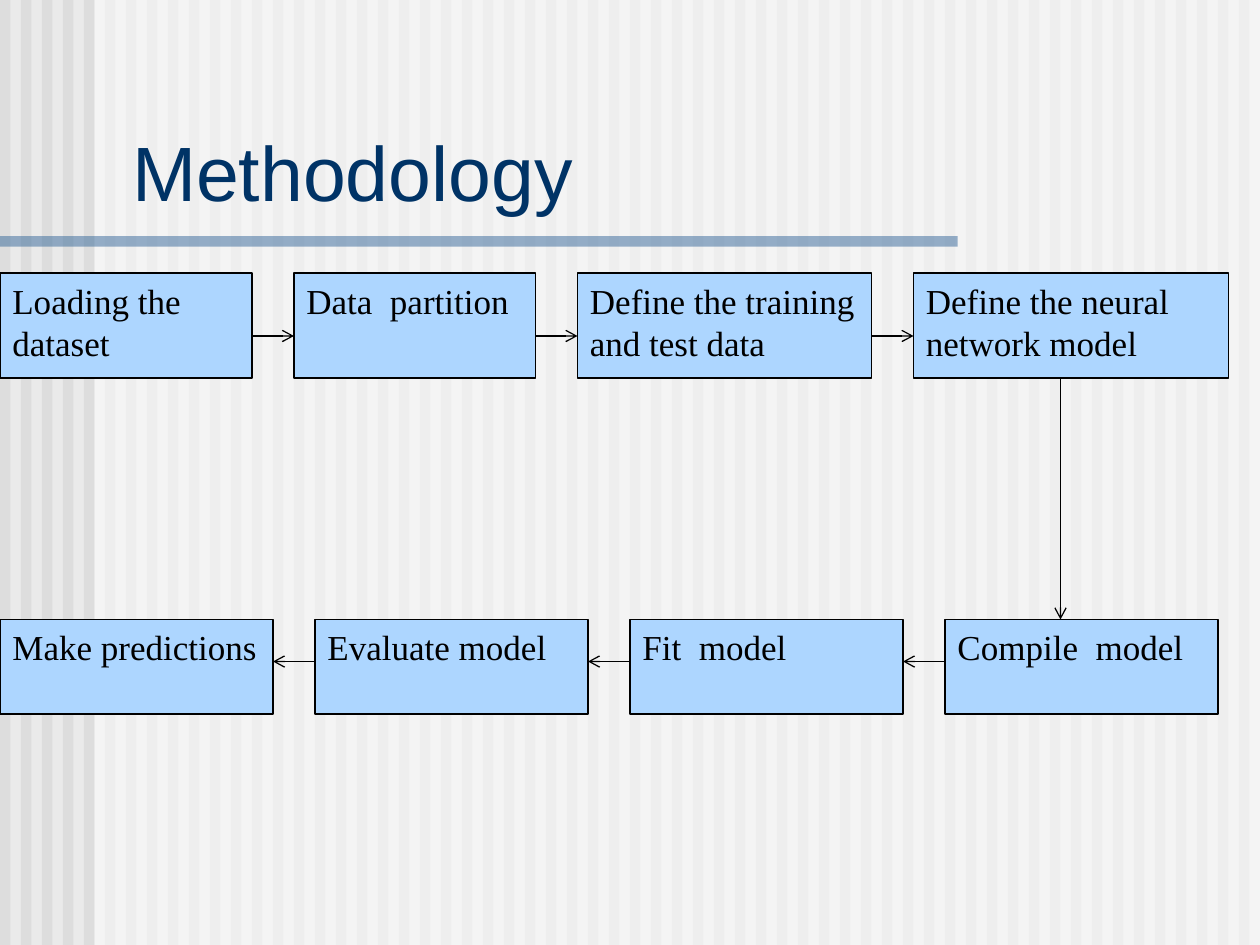
from dataclasses import dataclass

from lxml import etree
from pptx import Presentation
from pptx.dml.color import RGBColor
from pptx.enum.shapes import MSO_CONNECTOR, MSO_SHAPE
from pptx.enum.text import MSO_ANCHOR, PP_ALIGN
from pptx.oxml.ns import qn
from pptx.util import Inches, Pt

RECT = MSO_SHAPE.RECTANGLE
STRAIGHT = MSO_CONNECTOR.STRAIGHT
LEFT = PP_ALIGN.LEFT
TOP, BOTTOM = MSO_ANCHOR.TOP, MSO_ANCHOR.BOTTOM

COLS, ROWS = 120, 90
UNIT = Inches(10) / COLS


@dataclass
class Area:
    col: float
    row: float
    cols: float
    rows: float

    def emu(self) -> list[int]:
        return [grid(n) for n in (self.col, self.row, self.cols, self.rows)]


@dataclass
class Step:
    text: str
    area: Area


@dataclass
class Arrow:
    start: tuple[float, float]
    end: tuple[float, float]


def grid(n: float) -> int:
    return round(n * UNIT)


def rgb(color: str) -> RGBColor:
    return RGBColor.from_string(color)


def add_rect(s, area: Area, color: str, alpha: int = 100):
    sp = s.shapes.add_shape(RECT, *area.emu())
    sp.shadow.inherit = False
    sp.fill.solid()
    sp.fill.fore_color.rgb = rgb(color)
    sp.line.fill.background()
    if alpha < 100:
        clr = sp.fill._xPr.find(".//" + qn("a:srgbClr"))
        etree.SubElement(clr, qn("a:alpha"), val=str(alpha * 1000))
    return sp


def write(sp, text: str, font: str, size: int, color: str, anchor) -> None:
    tf = sp.text_frame
    tf.word_wrap = True
    tf.vertical_anchor = anchor
    tf.text = text
    for p in tf.paragraphs:
        p.alignment = LEFT
        p.font.name = font
        p.font.size = Pt(size)
        p.font.color.rgb = rgb(color)


def add_step(s, step: Step) -> None:
    sp = add_rect(s, step.area, "ADD6FF")
    sp.line.color.rgb = rgb("000000")
    sp.line.width = Pt(0.75)
    write(sp, step.text, "Times New Roman", 20, "000000", TOP)


def add_arrow(s, arrow: Arrow) -> None:
    points = [grid(n) for n in (*arrow.start, *arrow.end)]
    cxn = s.shapes.add_connector(STRAIGHT, *points)
    cxn.line.color.rgb = rgb("000000")
    cxn.line.width = Pt(0.75)
    etree.SubElement(cxn.line._get_or_add_ln(), qn("a:tailEnd"), type="arrow")
    etree.SubElement(cxn._element.spPr, qn("a:effectLst"))


def add_backdrop(s) -> None:
    s.background.fill.solid()
    s.background.fill.fore_color.rgb = rgb("EAEAEA")
    for col in range(0, COLS, 2):
        add_rect(s, Area(col, 0, 1, ROWS), "DDDDDD")
    add_rect(s, Area(9, 0, COLS - 9, ROWS), "FFFFFF", 50)
    add_rect(s, Area(0, 22.5, 91.2, 1), "336699", 50)


UPPER = [
    Step("Loading the\ndataset", Area(0, 26, 24, 10)),
    Step("Data  partition", Area(28, 26, 23, 10)),
    Step("Define the training and test data", Area(55, 26, 28, 10)),
    Step("Define the neural network model", Area(87, 26, 30, 10)),
]
LOWER_TEXTS = ["Compile  model", "Fit  model", "Evaluate model", "Make predictions"]
LOWER = [Step(t, Area(90 - 30 * i, 59, 26, 9)) for i, t in enumerate(LOWER_TEXTS)]


def flow_arrows() -> list[Arrow]:
    right = [
        Arrow((a.area.col + a.area.cols, 32), (b.area.col, 32))
        for a, b in zip(UPPER, UPPER[1:])
    ]
    left = [
        Arrow((a.area.col, 63), (b.area.col + b.area.cols, 63))
        for a, b in zip(LOWER, LOWER[1:])
    ]
    return [*right, Arrow((101, 36), (101, 59)), *left]


def main() -> None:
    prs = Presentation()
    prs.slide_width, prs.slide_height = grid(COLS), grid(ROWS)
    s = prs.slides.add_slide(prs.slide_layouts[6])
    add_backdrop(s)
    title = s.shapes.add_textbox(*Area(11.4, 7, 107.1, 14.25).emu())
    write(title, "Methodology", "Arial", 44, "003366", BOTTOM)
    for step in UPPER + LOWER:
        add_step(s, step)
    for arrow in flow_arrows():
        add_arrow(s, arrow)
    prs.save("out.pptx")


if __name__ == "__main__":
    main()
